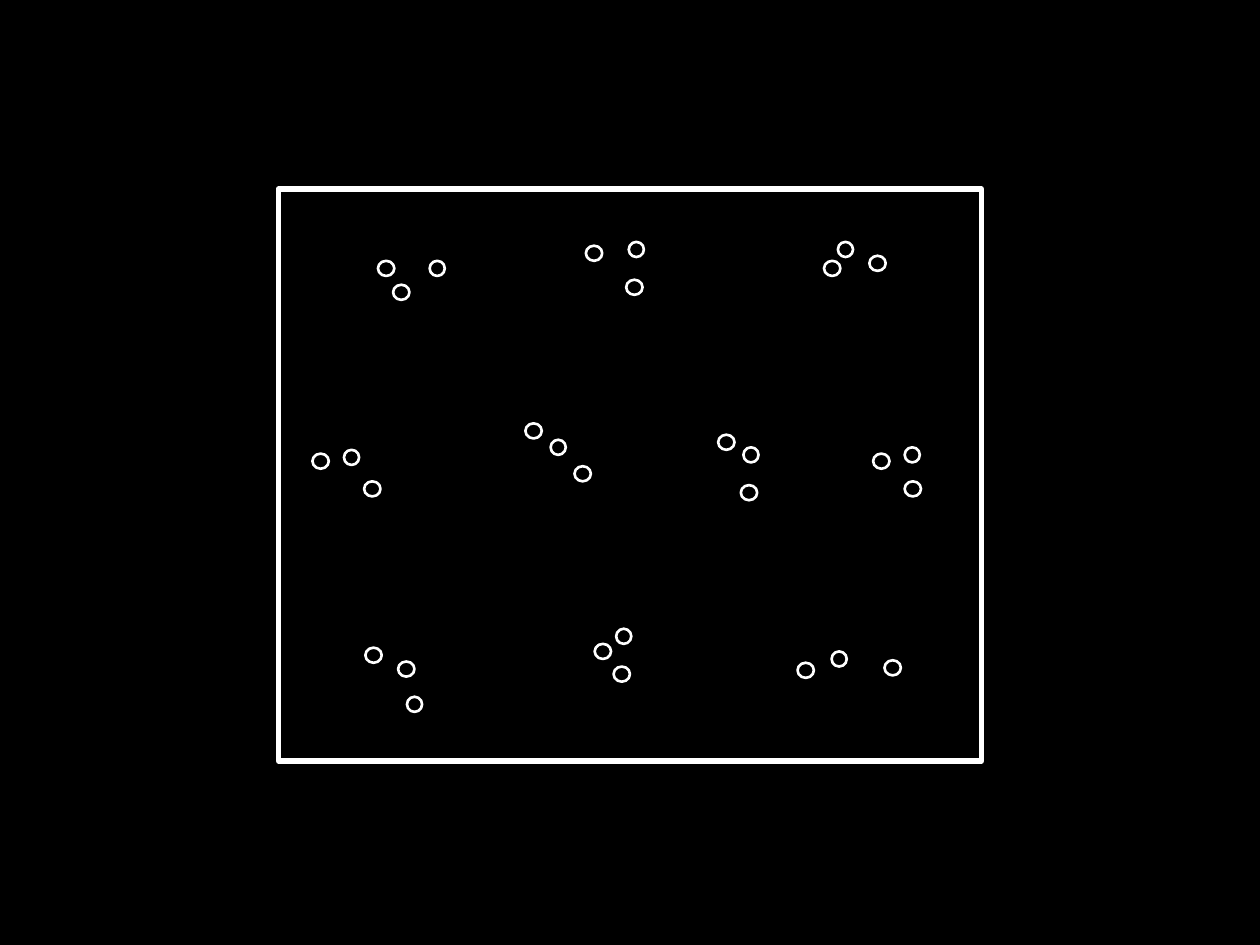
from pptx import Presentation
from pptx.dml.color import RGBColor
from pptx.enum.shapes import MSO_SHAPE
from pptx.util import Inches, Pt

BACKGROUND, OUTLINE = "000000", "FFFFFF"
FRAME = (2.21, 1.5, 5.58, 4.54)
RING_HEIGHT = 0.12
RING_WIDTHS = (0.12, 0.13, 0.13)  # by order within a cluster

# Left and top of the three rings in each cluster, row by row
CLUSTERS = [
    ((3.41, 2.07), (3.12, 2.26), (3.0, 2.07)),
    ((4.99, 1.92), (4.97, 2.22), (4.65, 1.95)),
    ((6.65, 1.92), (6.9, 2.03), (6.54, 2.07)),
    ((2.73, 3.57), (2.89, 3.82), (2.48, 3.6)),
    ((4.37, 3.49), (4.56, 3.7), (4.17, 3.36)),
    ((5.9, 3.55), (5.88, 3.85), (5.7, 3.45)),
    ((7.18, 3.55), (7.18, 3.82), (6.93, 3.6)),
    ((3.23, 5.53), (3.16, 5.25), (2.9, 5.14)),
    ((4.89, 4.99), (4.87, 5.29), (4.72, 5.11)),
    ((6.6, 5.17), (7.02, 5.24), (6.33, 5.26)),
]


def color(value):
    return RGBColor.from_string(value)


def add_outline(shapes, kind, box, weight):
    shape = shapes.add_shape(kind, *(Inches(v) for v in box))
    shape.shadow.inherit = False
    shape.fill.background()
    shape.line.color.rgb = color(OUTLINE)
    shape.line.width = Pt(weight)


prs = Presentation()
prs.slide_width, prs.slide_height = Inches(10), Inches(7.5)
slide = prs.slides.add_slide(prs.slide_layouts[6])
slide.background.fill.solid()
slide.background.fill.fore_color.rgb = color(BACKGROUND)

# Frame and ring clusters in one group
diagram = slide.shapes.add_group_shape()
add_outline(diagram.shapes, MSO_SHAPE.RECTANGLE, FRAME, 3)
for cluster in CLUSTERS:
    for (left, top), width in zip(cluster, RING_WIDTHS):
        add_outline(diagram.shapes, MSO_SHAPE.OVAL,
                    (left, top, width, RING_HEIGHT), 1.5)

prs.save("out.pptx")
